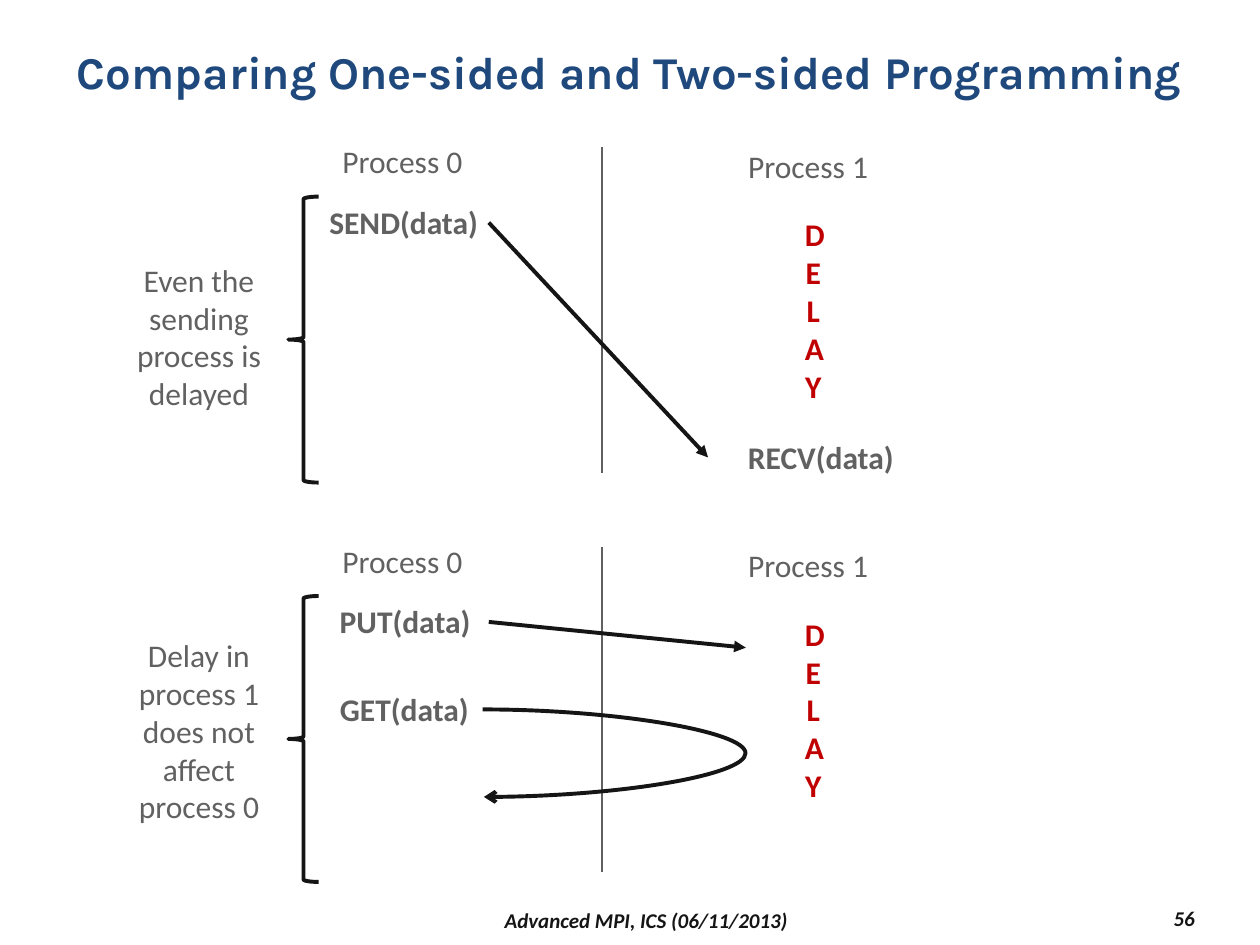
import pptx
import pptx.util
import pptx.dml.color
import pptx.enum.shapes
import pptx.enum.text
import pptx.oxml
import pptx.oxml.ns

Pt = pptx.util.Pt
ALIGN = pptx.enum.text.PP_ALIGN
ANCHOR = pptx.enum.text.MSO_ANCHOR
CONNECTOR = pptx.enum.shapes.MSO_CONNECTOR
FIT = pptx.enum.text.MSO_AUTO_SIZE.SHAPE_TO_FIT_TEXT
INK, GRAY, RED, NAVY = "151515", "616161", "C00000", "1F497D"

BODY = {"name": "Calibri", "size": Pt(18)}
CALL = {**BODY, "bold": True}
FOOT = {"name": "Calibri", "size": Pt(12), "bold": True, "italic": True}
TITLE = {"name": "Karla", "size": Pt(26), "bold": True}


def rgb(color):
    return pptx.dml.color.RGBColor.from_string(color)


def set_all(target, values):
    for key, value in values.items():
        setattr(target, key, value)


def add_label(slide, box, text, font, color=GRAY, align=ALIGN.CENTER, **frame_format):
    frame = slide.shapes.add_textbox(*map(Pt, box)).text_frame
    set_all(frame, {"word_wrap": True, **frame_format})
    paragraph = frame.paragraphs[0]
    paragraph.alignment = align
    run = paragraph.add_run()
    run.text = text
    set_all(run.font, font)
    run.font.color.rgb = rgb(color)


def set_line(shape, color, width):
    shape.line.color.rgb = rgb(color)
    shape.line.width = Pt(width)


def add_link(slide, ends, color=INK, width=2.25, head=None, kind=CONNECTOR.STRAIGHT):
    link = slide.shapes.add_connector(kind, *map(Pt, ends))
    set_line(link, color, width)
    properties = link._element.spPr
    if head:
        tail = pptx.oxml.parse_xml(
            f'<a:tailEnd {pptx.oxml.ns.nsdecls("a")} type="{head}"/>')
        link.line._get_or_add_ln().append(tail)
    properties.append(pptx.oxml.parse_xml(f'<a:effectLst {pptx.oxml.ns.nsdecls("a")}/>'))
    return link


def add_return_curve(slide, left, top, reach, height):
    width = 0.71
    curve = add_link(slide, (left, top, left + width, top + height),
                     head="arrow", kind=CONNECTOR.CURVE)
    geometry = curve._element.spPr.find(pptx.oxml.ns.qn("a:prstGeom"))
    for old in geometry.findall(pptx.oxml.ns.qn("a:avLst")):
        geometry.remove(old)
    bend = round(reach / width * 100000)
    geometry.append(pptx.oxml.parse_xml(
        f'<a:avLst {pptx.oxml.ns.nsdecls("a")}>'
        f'<a:gd name="adj1" fmla="val {bend}"/></a:avLst>'))


def add_process_panel(slide, left, top, note, note_top, note_height, arrow_end, calls):
    def label(x, y, width, height, text, font=BODY, **options):
        add_label(slide, (left + x, top + y, width, height), text, font,
                  auto_size=FIT, **options)

    label(126, 0, 90, 29, "Process 0", align=ALIGN.LEFT, word_wrap=False)
    label(357.8, 2.7, 103.7, 29, "Process 1", align=ALIGN.LEFT)
    add_link(slide, (left + 281.6, top + 6.5, left + 281.6, top + 192.3), GRAY, 1)
    for x, y, width, text in calls:
        label(x, y, width, 29, text, CALL, word_wrap=False)
    add_link(slide, (left + 216.7, top + 49.4, left + arrow_end[0], top + arrow_end[1]),
             head="triangle")
    label(390.2, 41.8, 23.8, 116.6, "DELAY", CALL, color=RED)
    brace = slide.shapes.add_shape(
        pptx.enum.shapes.MSO_SHAPE.LEFT_BRACE,
        Pt(left + 102.2), Pt(top + 34.6), Pt(17.3), Pt(163.4))
    brace.shadow.inherit = False
    brace.fill.background()
    set_line(brace, INK, 2.25)
    label(0, note_top, 102.2, note_height, note)


def add_heading(slide, left, top, width, height):
    add_label(slide, (left, top, width, height),
              "Comparing One-sided and Two-sided Programming", TITLE, NAVY,
              margin_left=0, margin_right=0)


def add_footer(slide, left, top, width, height):
    add_label(slide, (left, top + 1.4, 426.2, height), "Advanced MPI, ICS (06/11/2013)",
              FOOT, INK, vertical_anchor=ANCHOR.MIDDLE)
    add_label(slide, (left + width - 77.8, top, 77.8, height), "56",
              FOOT, INK, ALIGN.RIGHT, vertical_anchor=ANCHOR.MIDDLE)


def main():
    deck = pptx.Presentation()
    deck.slide_width, deck.slide_height = Pt(720), Pt(540)
    slide = deck.slides.add_slide(deck.slide_layouts[6])
    left, top, pitch = 62.6, 77.8, 228.2

    add_heading(slide, 36, 21.6, 648, 62.6)
    add_process_panel(slide, left, top, "Even the sending process is delayed",
                      67.7, 94.3, (342, 183.6),
                      [(118.1, 34.6, 100, "SEND(data)"), (357.2, 169.2, 98.6, "RECV(data)")])
    add_process_panel(slide, left, top + pitch,
                      "Delay in process 1 does not affect process 0",
                      54, 116.6, (363.6, 64.1),
                      [(123.9, 34.6, 90, "PUT(data)"), (123.9, 85, 89.3, "GET(data)")])
    add_return_curve(slide, left + 213.2, top + pitch + 99.4, 150.5, 50)
    add_footer(slide, 156.2, 514.8, 533.6, 19.4)
    deck.save("out.pptx")


if __name__ == "__main__":
    main()
